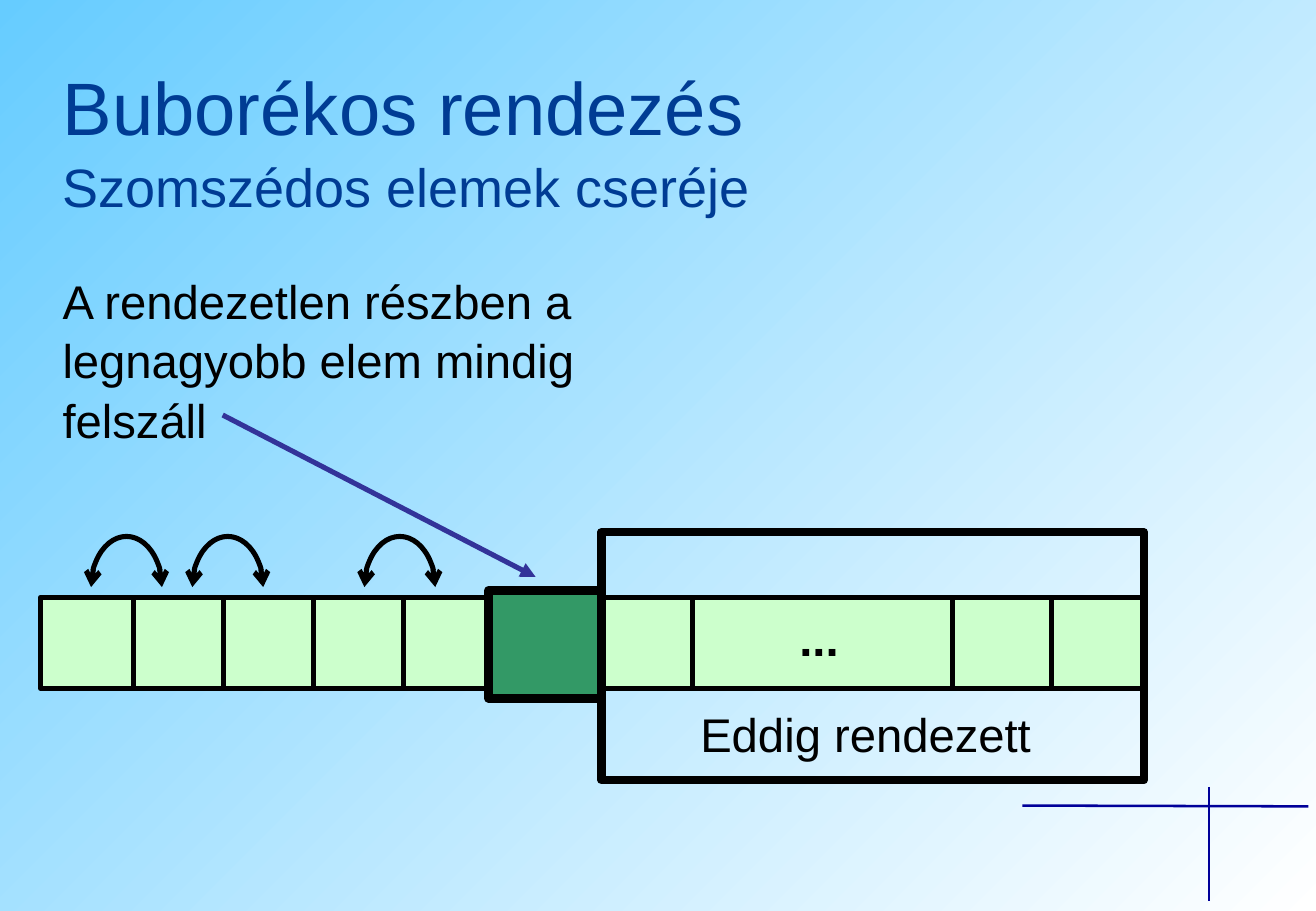
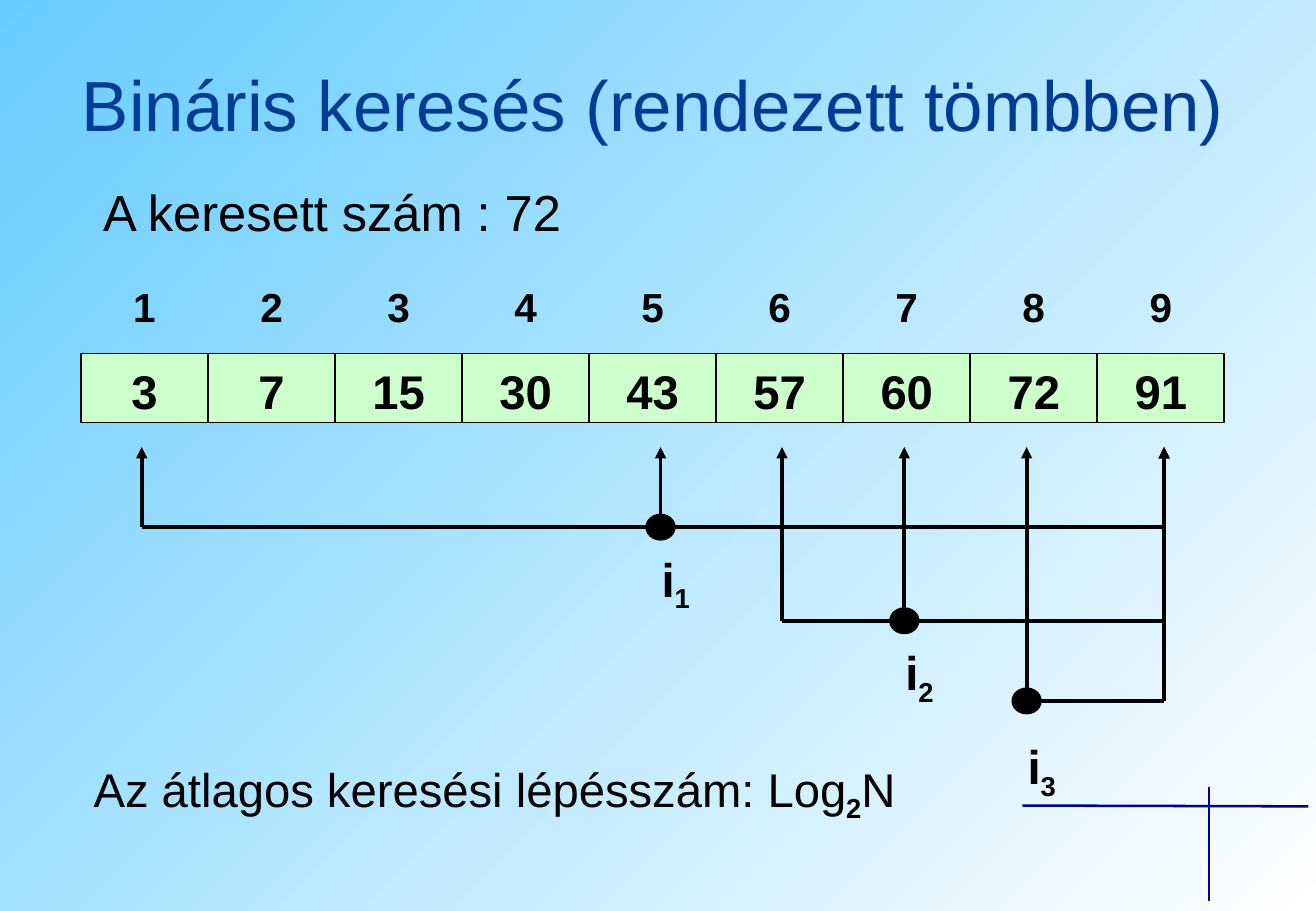
"""Builds two slides on bubble sort and binary search."""
from lxml import etree
from pptx import Presentation
from pptx import util as u
from pptx.dml import color
from pptx.enum import shapes, text
from pptx.oxml import ns

COLORS = {
    "sky": "66CCFF", "white": "FFFFFF", "black": "000000", "title": "003C94",
    "corner": "000099", "pointer": "333399", "cell": "CCFFCC", "largest": "339966",
}
ALIGN = text.PP_ALIGN
SHAPE = shapes.MSO_SHAPE


def rgb(name):
    return color.RGBColor.from_string(COLORS[name])


class Deck:
    def __init__(self):
        self.presentation = Presentation()
        self.presentation.slide_width = u.Pt(780)
        self.presentation.slide_height = u.Pt(540)
        fill = self.presentation.slide_master.background.fill
        fill.gradient()
        fill.gradient_angle = 135
        for stop, name in zip(fill.gradient_stops, ("white", "sky")):
            stop.color.rgb = rgb(name)
        self.slide = None

    def new_slide(self, box, paragraphs, **style):
        layout = self.presentation.slide_layouts[5]
        self.slide = self.presentation.slides.add_slide(layout)
        title = self.slide.shapes.title
        for name, value in zip(("left", "top", "width", "height"), box):
            setattr(title, name, u.Pt(value))
        self.fill_text(title, paragraphs, ink="title", **style)
        self.line((606, 477.5), (775.5, 478), "corner", 1.5)
        self.line((716.5, 466.5), (716.5, 534), "corner", 1.5)

    def fill_text(self, shape, paragraphs, size=28, ink="black", bold=False,
                  align=ALIGN.CENTER, margins=(7.2, 3.6)):
        frame = shape.text_frame
        across, down = map(u.Pt, margins)
        frame_format = {
            "word_wrap": True, "auto_size": text.MSO_AUTO_SIZE.NONE,
            "vertical_anchor": text.MSO_ANCHOR.TOP,
            "margin_left": across, "margin_right": across,
            "margin_top": down, "margin_bottom": down,
        }
        for name, value in frame_format.items():
            setattr(frame, name, value)
        for index, runs in enumerate(paragraphs):
            paragraph = frame.add_paragraph() if index else frame.paragraphs[0]
            paragraph_format = {"alignment": align, "line_spacing": 1.05, "space_before": u.Pt(0)}
            for name, value in paragraph_format.items():
                setattr(paragraph, name, value)
            for words, changes in runs:
                run = paragraph.add_run()
                run.text = words
                font_format = {
                    "name": "Arial", "size": u.Pt(changes.get("size", size)),
                    "bold": changes.get("bold", bold),
                }
                for name, value in font_format.items():
                    setattr(run.font, name, value)
                run.font.color.rgb = rgb(ink)
                if changes.get("subscript"):
                    run._r.get_or_add_rPr().set("baseline", "-25000")

    def text(self, box, *runs, **style):
        shape = self.slide.shapes.add_textbox(*map(u.Pt, box))
        self.fill_text(shape, [runs], **style)

    def shape(self, kind, box, fill=None, width=0):
        shape = self.slide.shapes.add_shape(kind, *map(u.Pt, box))
        shape.shadow.inherit = False
        if fill:
            shape.fill.solid()
            shape.fill.fore_color.rgb = rgb(fill)
        else:
            shape.fill.background()
        if width:
            self.stroke(shape, "black", width)
        else:
            shape.line.fill.background()
        return shape

    def stroke(self, shape, ink, width, **ends):
        shape.line.color.rgb = rgb(ink)
        shape.line.width = u.Pt(width)
        outline = shape._element.spPr.find(ns.qn("a:ln"))
        for end, kind in ends.items():
            etree.SubElement(outline, ns.qn(f"a:{end}")).set("type", kind)

    def line(self, start, finish, ink="black", width=3.0, **ends):
        connector = self.slide.shapes.add_connector(
            shapes.MSO_CONNECTOR.STRAIGHT, *map(u.Pt, (*start, *finish)))
        self.stroke(connector, ink, width, **ends)
        etree.SubElement(connector._element.spPr, ns.qn("a:effectLst"))

    def swap_arc(self, left):
        arc = self.shape(SHAPE.ARC, (left, 318, 42, 60))
        arc.adjustments[0] = 108
        arc.adjustments[1] = 0
        self.stroke(arc, "black", 3, headEnd="arrow", tailEnd="arrow")

    def search_step(self, number, level, low, probe, label_gap):
        high, tip = 690, 265
        for x in sorted({low, probe, high}):
            self.line((x, level), (x, tip), width=2.25, tailEnd="triangle")
        self.line((low, level), (high, level), width=2.25)
        self.shape(SHAPE.OVAL, (probe - 9, level - 8, 18, 16), "black")
        self.text((probe - 27, level + label_gap, 72, 45),
                  ("i", {}), (str(number), {"subscript": True}), bold=True)


def bubble_sort(deck):
    deck.new_slide((30, 30, 516, 99),
                   [[("Buborékos rendezés", {})], [("Szomszédos elemek cseréje", {"size": 32})]],
                   size=44, align=ALIGN.LEFT)
    deck.text((366, 415.5, 294, 40), ("Eddig rendezett", {}), margins=(0.72, 0.72))
    top, bottom = 354, 408
    deck.shape(SHAPE.RECTANGLE, (24, top, 654, bottom - top), "cell", 3)
    unsorted_dividers = [79 + 53.4 * index for index in range(4)]
    for x in unsorted_dividers + [410.5, 564.5, 623.5]:
        deck.line((x, top), (x, bottom))
    deck.text((458, 359, 55, 40), ("...", {}), bold=True, margins=(0.72, 0.72))
    deck.shape(SHAPE.RECTANGLE, (289.5, 350, 67, 64), "largest", 5)
    deck.shape(SHAPE.RECTANGLE, (356.5, 315.5, 321.5, 147), width=5)
    deck.text((30, 156, 330, 108),
              ("A rendezetlen részben a legnagyobb elem mindig felszáll", {}), align=ALIGN.LEFT)
    deck.line((132, 246), (317.5, 342), "pointer", tailEnd="triangle")
    for left in (54, 114, 216):
        deck.swap_arc(left)


def binary_search(deck):
    deck.new_slide((30, 30, 714, 58), [[("Bináris keresés (rendezett tömbben)", {})]], size=42)
    deck.text((54, 102, 396, 43), ("A keresett szám : 72", {}), size=30, align=ALIGN.LEFT)
    pitch = 75.3
    for index, value in enumerate((3, 7, 15, 30, 43, 57, 60, 72, 91)):
        left = 48 + index * pitch
        cell = deck.shape(SHAPE.RECTANGLE, (left, 209.5, pitch, 41), "cell", 1)
        deck.fill_text(cell, [[(str(value), {})]], bold=True)
        deck.text((left, 162, pitch, 36), (str(index + 1), {}), size=24, bold=True)
    steps = [(312.5, 84, 391.5, 8), (368, 463.5, 536, 8), (415.5, 608.5, 608.5, 16)]
    for number, step in enumerate(steps, 1):
        deck.search_step(number, *step)
    deck.text((30, 445, 534, 45), ("Az átlagos keresési lépésszám: Log", {}),
              ("2", {"bold": True, "subscript": True}), ("N ", {}))


def main():
    deck = Deck()
    bubble_sort(deck)
    binary_search(deck)
    deck.presentation.save("out.pptx")


if __name__ == "__main__":
    main()
